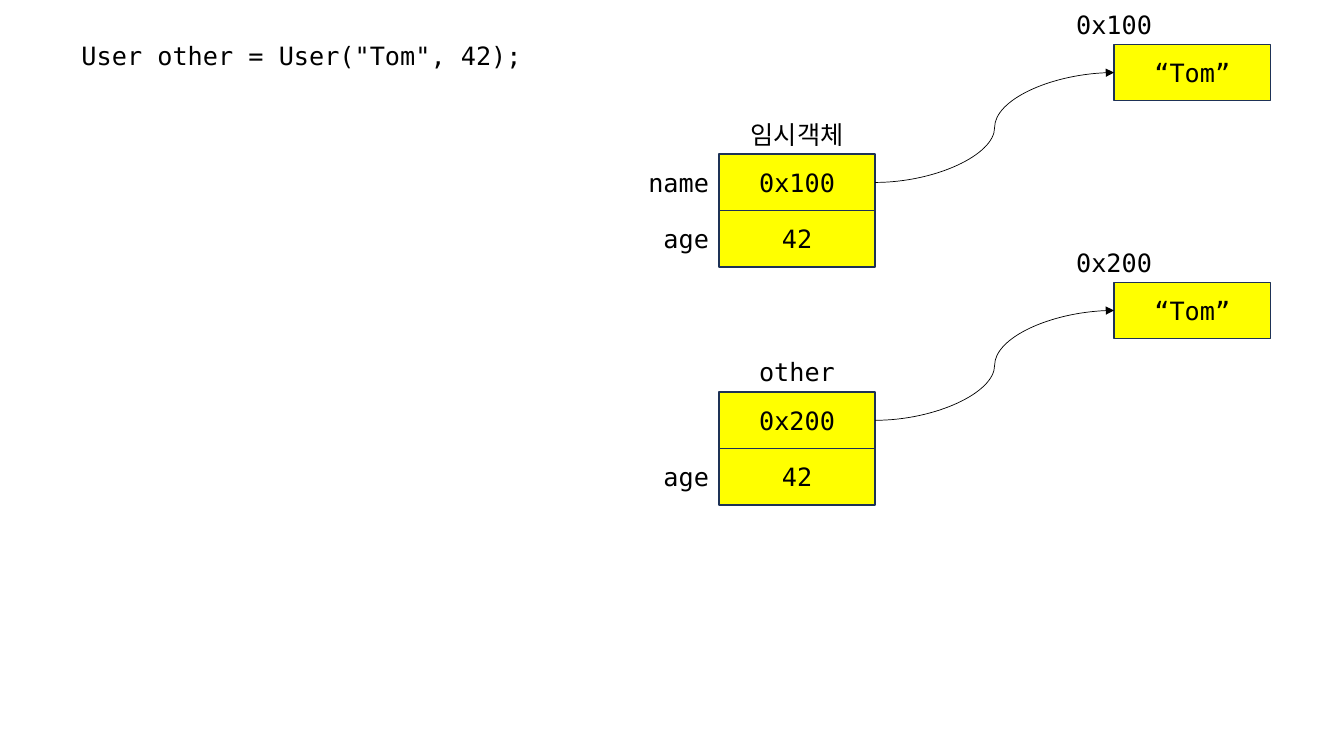
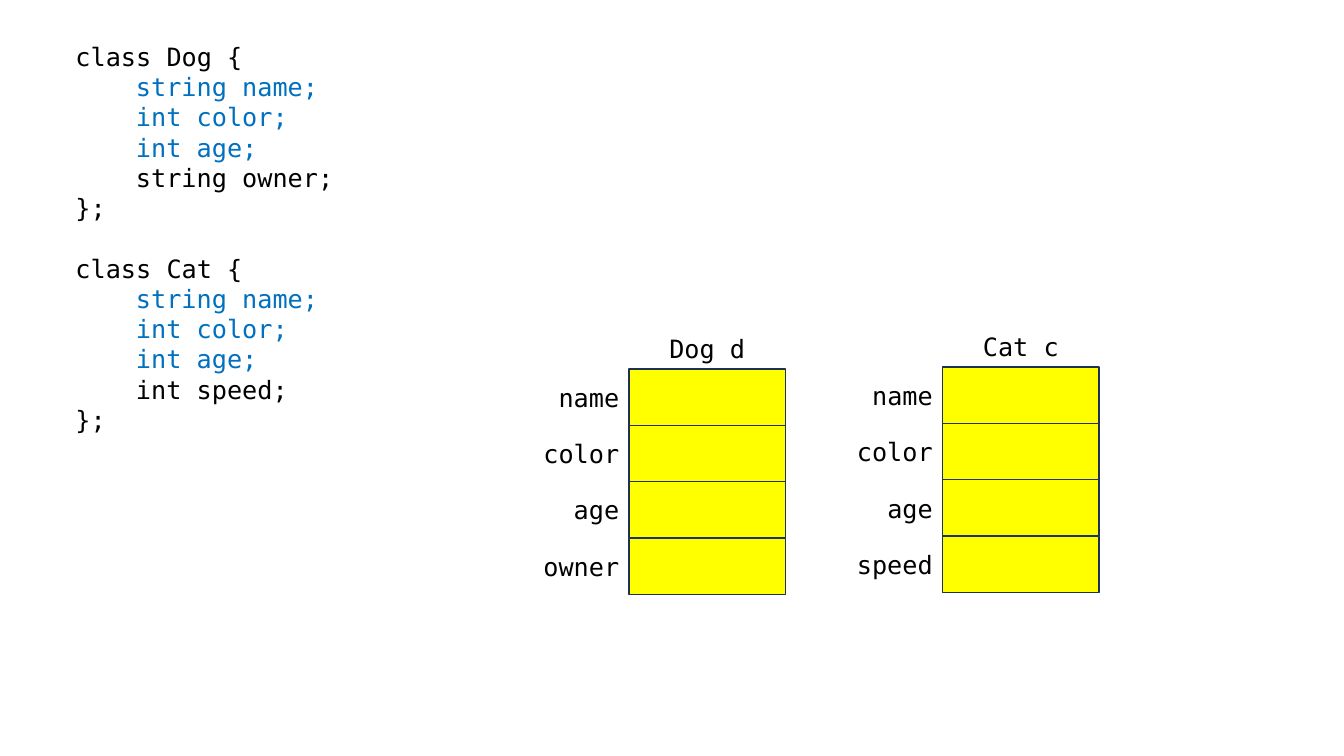
from lxml import etree
from pptx import Presentation
from pptx import util as u
from pptx.dml.color import RGBColor
from pptx.enum import shapes, text
from pptx.oxml import ns

WIDTH, HEIGHT = 13.33, 7.5
CELL_W, CELL_H = 1.55, 0.56
LABEL_W, CAPTION_W, TEXT_H = 1.1, 1.27, 0.4
INDENT = 0.6
LINE = u.Pt(21.6)
BLACK, BLUE, YELLOW, NAVY = "000000", "0070C0", "FFFF00", "1E3256"
FONT = {"name": "DejaVu Sans Mono", "size": u.Pt(18)}
LEFT, CENTER, RIGHT = text.PP_ALIGN.LEFT, text.PP_ALIGN.CENTER, text.PP_ALIGN.RIGHT
FIELDS = ["string name;", "int color;", "int age;"]


def rgb(value):
    """Turn a hex string into a colour."""
    return RGBColor.from_string(value)


def write(p, content, align=LEFT, color=BLACK):
    """Put one styled run into a paragraph."""
    p.alignment = align
    r = p.add_run()
    r.text = content
    for key, value in FONT.items():
        setattr(r.font, key, value)
    r.font.color.rgb = rgb(color)


def add_text(s, x, y, w, h=TEXT_H):
    """Add an empty wrapping text box and return its frame."""
    tf = s.shapes.add_textbox(*map(u.Inches, (x, y, w, h))).text_frame
    tf.word_wrap = True
    return tf


def add_label(s, content, x, y, w, align=LEFT):
    """Add a one-line text box."""
    write(add_text(s, x, y, w).paragraphs[0], content, align)


def add_cell(s, x, y, value=""):
    """Add one yellow memory cell."""
    sp = s.shapes.add_shape(shapes.MSO_SHAPE.RECTANGLE,
                            *map(u.Inches, (x, y, CELL_W, CELL_H)))
    sp.shadow.inherit = False
    sp.fill.solid()
    sp.fill.fore_color.rgb = rgb(YELLOW)
    sp.line.color.rgb = rgb(NAVY)
    sp.line.width = u.Pt(1)
    if value:
        tf = sp.text_frame
        tf.vertical_anchor = text.MSO_ANCHOR.MIDDLE
        write(tf.paragraphs[0], value, CENTER)
    return sp


def add_object(s, x, y, caption, rows, center=CELL_W / 2):
    """Stack labelled cells under a caption and return the first cell."""
    add_label(s, caption, x + center - CAPTION_W / 2, y - TEXT_H, CAPTION_W, CENTER)
    cells = []
    for i, (label, value) in enumerate(rows):
        top = y + i * CELL_H
        cells.append(add_cell(s, x, top, value))
        if label:
            add_label(s, label, x - LABEL_W, top + (CELL_H - TEXT_H) / 2,
                      LABEL_W, RIGHT)
    return cells[0]


def add_pointer(s, start, end):
    """Join two cells with a curved arrow."""
    line = s.shapes.add_connector(shapes.MSO_CONNECTOR.CURVE, 0, 0, 0, 0)
    line.begin_connect(start, 3)
    line.end_connect(end, 1)
    line.line.color.rgb = rgb(BLACK)
    line.line.width = u.Pt(0.5)
    etree.SubElement(line.line._get_or_add_ln(), ns.qn("a:tailEnd"), type="triangle")
    etree.SubElement(line._element.spPr, ns.qn("a:effectLst"))


def add_classes(s, x, y, w, h, classes):
    """List class definitions, with the shared fields in blue."""
    tf = add_text(s, x, y, w, h)
    lines = []
    for name, own in classes:
        lines += [f"class {name} {{", *FIELDS, own, "};"]
    for i, content in enumerate(lines):
        p = tf.add_paragraph() if i else tf.paragraphs[0]
        write(p, content, color=BLUE if content in FIELDS else BLACK)
        p.line_spacing = LINE
        if content.endswith("{") and i:
            p.space_before = LINE
        elif content != "};" and i:
            p._p.get_or_add_pPr().set("marL", str(u.Inches(INDENT)))


def build_copy(s):
    """Show a temporary object and its deep copy."""
    add_label(s, 'User other = User("Tom", 42);', 0.71, 0.35, WIDTH / 2)
    for y, caption, address, label in ((1.53, "임시객체", "0x100", "name"),
                                       (3.89, "other", "0x200", "")):
        rows = [(label, address), ("age", "42")]
        pointer = add_object(s, 7.13, y, caption, rows)
        target = add_object(s, 11.05, y - 1.09, address, [("", "“Tom”")], center=0)
        add_pointer(s, pointer, target)


def build_classes(s):
    """Show two classes and the layout of their objects."""
    add_classes(s, 0.65, 0.36, 4.49, 4.04,
                [("Dog", "string owner;"), ("Cat", "int speed;")])
    for x, y, caption, own in ((6.24, 3.66, "Dog d", "owner"),
                               (9.35, 3.64, "Cat c", "speed")):
        add_object(s, x, y, caption,
                   [(name, "") for name in ("name", "color", "age", own)])


def main():
    """Build and save the presentation."""
    prs = Presentation()
    prs.slide_width, prs.slide_height = u.Inches(WIDTH), u.Inches(HEIGHT)
    blank = prs.slide_layouts.get_by_name("Blank")
    for build in (build_copy, build_classes):
        build(prs.slides.add_slide(blank))
    prs.save("out.pptx")


if __name__ == "__main__":
    main()
